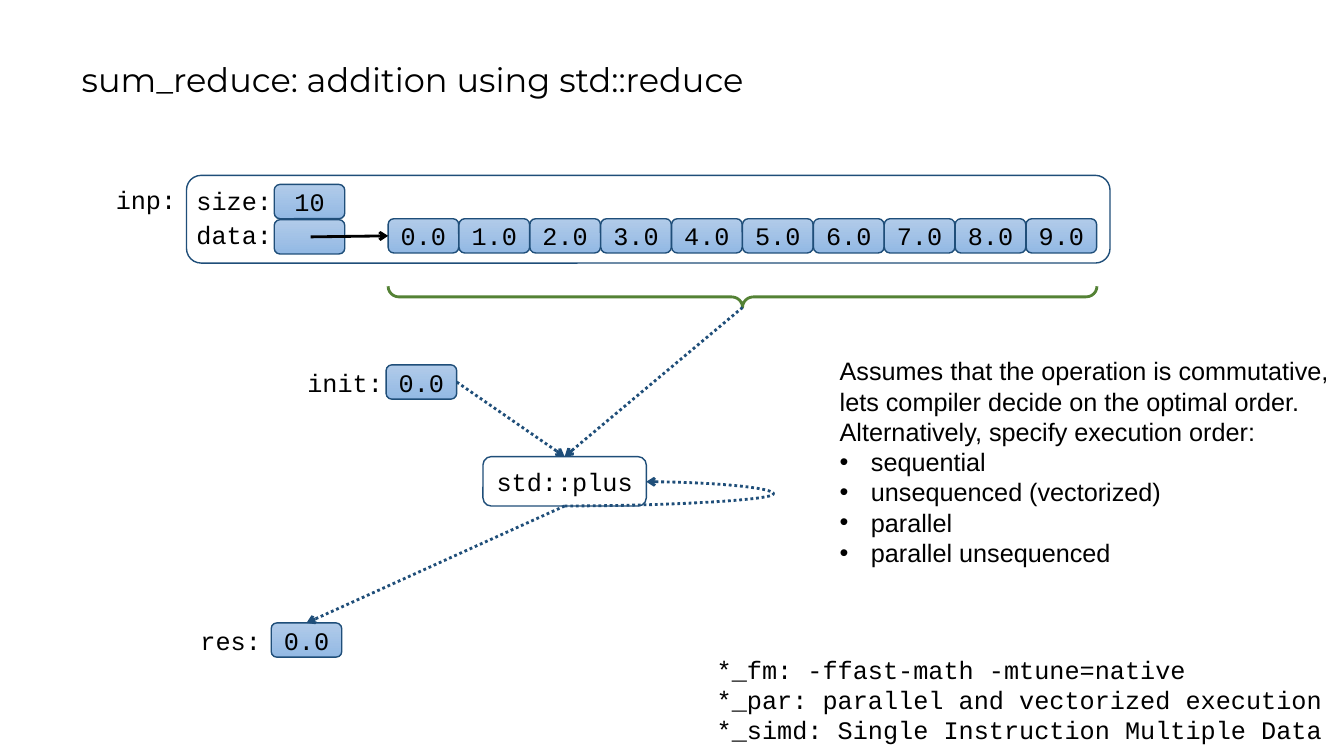
import pptx
import pptx.util
import pptx.dml.color
import pptx.enum.dml
import pptx.enum.shapes
import pptx.enum.text
import pptx.oxml.ns
from lxml import etree

Inches, Pt = pptx.util.Inches, pptx.util.Pt
KIND = pptx.enum.shapes.MSO_SHAPE
LINK = pptx.enum.shapes.MSO_CONNECTOR
ANCHOR = pptx.enum.text.MSO_ANCHOR
ALIGN = pptx.enum.text.PP_ALIGN
FIT = pptx.enum.text.MSO_AUTO_SIZE
DOTS = pptx.enum.dml.MSO_LINE.ROUND_DOT
qn = pptx.oxml.ns.qn

MONO, SANS, HEAD = "Courier New", "Arial", "Montserrat"
NAVY, GREEN, BLACK = "1F4E79", "548235", "000000"
SHADE = ["B1CBE9", "93B9E4"]
TOP, LEFT, BOTTOM, RIGHT = range(4)

TITLE = "sum_reduce: addition using std::reduce"
VALUES = [f"{n}.0" for n in range(10)]
LABELS = [  # text, left, top, width
    ("inp:", 1.05, 1.78, 0.8),
    ("size:", 1.85, 1.79, 0.95),
    ("data:", 1.85, 2.13, 0.95),
    ("init:", 2.95, 3.59, 0.95),
    ("res:", 1.89, 6.15, 0.8),
]
FLAGS = [
    "*_fm: -ffast-math -mtune=native",
    "*_par: parallel and vectorized execution",
    "*_simd: Single Instruction Multiple Data",
]
NOTES = [
    "Assumes that the operation is commutative,",
    "lets compiler decide on the optimal order.",
    "Alternatively, specify execution order:",
]
ORDERS = ["sequential", "unsequenced (vectorized)", "parallel", "parallel unsequenced"]

CELL_W, CELL_H = 0.7, 0.34
ROW_X, ROW_Y, ROW_W = 3.85, 2.17, 7.03
STEP = ROW_W / len(VALUES)
TIP = (ROW_X + ROW_W / 2, 3.05)
BRACE_H = 0.21

deck = pptx.Presentation()
deck.slide_width, deck.slide_height = Inches(13.33), Inches(7.5)
slide = deck.slides.add_slide(deck.slide_layouts[5])
shapes = slide.shapes


def color(code):
    return pptx.dml.color.RGBColor.from_string(code)


def style(para, font=MONO, size=18):
    para.font.name, para.font.size = font, Pt(size)
    para.font.color.rgb = color(BLACK)


def stroke(item, code, width):
    item.line.color.rgb, item.line.width = color(code), Pt(width)


def box(x, y, w=CELL_W, h=CELL_H, text="", shade=True, kind=KIND.ROUNDED_RECTANGLE,
        edge=NAVY, width=1):
    item = shapes.add_shape(kind, Inches(x), Inches(y), Inches(w), Inches(h))
    item.shadow.inherit = False
    stroke(item, edge, width)
    if shade:
        item.fill.gradient()
        item.fill.gradient_angle = 270
        for stop, code in zip(item.fill.gradient_stops, SHADE):
            stop.color.rgb = color(code)
    else:
        item.fill.background()
    if text:
        frame = item.text_frame
        frame.vertical_anchor = ANCHOR.MIDDLE
        para = frame.paragraphs[0]
        para.text, para.alignment = text, ALIGN.CENTER
        style(para)
    return item


def label(lines, x, y, w, h=0.4, font=MONO):
    frame = shapes.add_textbox(Inches(x), Inches(y), Inches(w), Inches(h)).text_frame
    frame.word_wrap, frame.auto_size = False, FIT.SHAPE_TO_FIT_TEXT
    frame.text = "\n".join(lines)
    for para in frame.paragraphs:
        style(para, font)
    return frame


def arrow(start, end, code=NAVY, dash=DOTS, kind=LINK.STRAIGHT):
    """Draw an arrow; each end is an (x, y) point or a (shape, side) joint."""
    free = [e if isinstance(e[0], float) else (0, 0) for e in (start, end)]
    item = shapes.add_connector(kind, *[Inches(v) for point in free for v in point])
    if free[0] != start:
        item.begin_connect(*start)
    if free[1] != end:
        item.end_connect(*end)
    stroke(item, code, 2)
    if dash:
        item.line.dash_style = dash
    etree.SubElement(item.line._get_or_add_ln(), qn("a:tailEnd"), type="arrow")
    etree.SubElement(item._element.spPr, qn("a:effectLst"))
    return item


def bullet(para):
    props = para._p.get_or_add_pPr()
    props.set("marL", str(Inches(0.31)))
    props.set("indent", str(-Inches(0.31)))
    etree.SubElement(props, qn("a:buFont"), typeface=SANS)
    etree.SubElement(props, qn("a:buChar"), char="•")
    # Default run properties must come last
    props.append(props.find(qn("a:defRPr")))


# Title
title = shapes.title
title.left, title.top, title.width, title.height = map(Inches, (0.71, 0.28, 11.5, 1.05))
title.text_frame.text = TITLE
title.text_frame.auto_size = FIT.NONE
title.text_frame.vertical_anchor = ANCHOR.MIDDLE
head = title.text_frame.paragraphs[0]
head.alignment, head.line_spacing = ALIGN.LEFT, 0.9
style(head, HEAD, 24)

# Input vector
box(1.85, 1.74, 9.16, 0.87, shade=False)
cells = [box(ROW_X + i * STEP, ROW_Y, text=value) for i, value in enumerate(VALUES)]
box(2.72, 1.83, text="10")
box(2.72, 2.18)
for text, *place in LABELS:
    label([text], *place)
arrow((3.08, 2.35), (cells[0], LEFT), BLACK, None)

# The brace is drawn upright and turned about its centre
brace = box(TIP[0] - BRACE_H / 2, TIP[1] - BRACE_H / 2 - ROW_W / 2, BRACE_H, ROW_W,
            shade=False, kind=KIND.LEFT_BRACE, edge=GREEN, width=2)
brace.rotation = 270
brace.adjustments[0], brace.adjustments[1] = 0.51, 0.5

# Reduction
init = box(3.83, 3.62, text="0.0")
plus = box(4.79, 4.53, 1.62, 0.49, "std::plus", shade=False)
res = box(2.69, 6.18, text="0.0")
arrow(TIP, (plus, TOP))
arrow((init, RIGHT), (plus, TOP))
arrow((plus, BOTTOM), (res, TOP))
loop = arrow((5.6, 5.02), (6.41, 4.78), kind=LINK.CURVE)
guides = loop._element.spPr.find(qn("a:prstGeom")).get_or_add_avLst()
etree.SubElement(guides, qn("a:gd"), name="adj1", fmla="val 256000")

# Remarks
label(FLAGS, 7.01, 6.44, 6.2, 1.01)
notes = label(NOTES + ORDERS, 8.23, 3.48, 5.05, 2.22, SANS)
for para in notes.paragraphs[len(NOTES):]:
    bullet(para)

deck.save("out.pptx")
